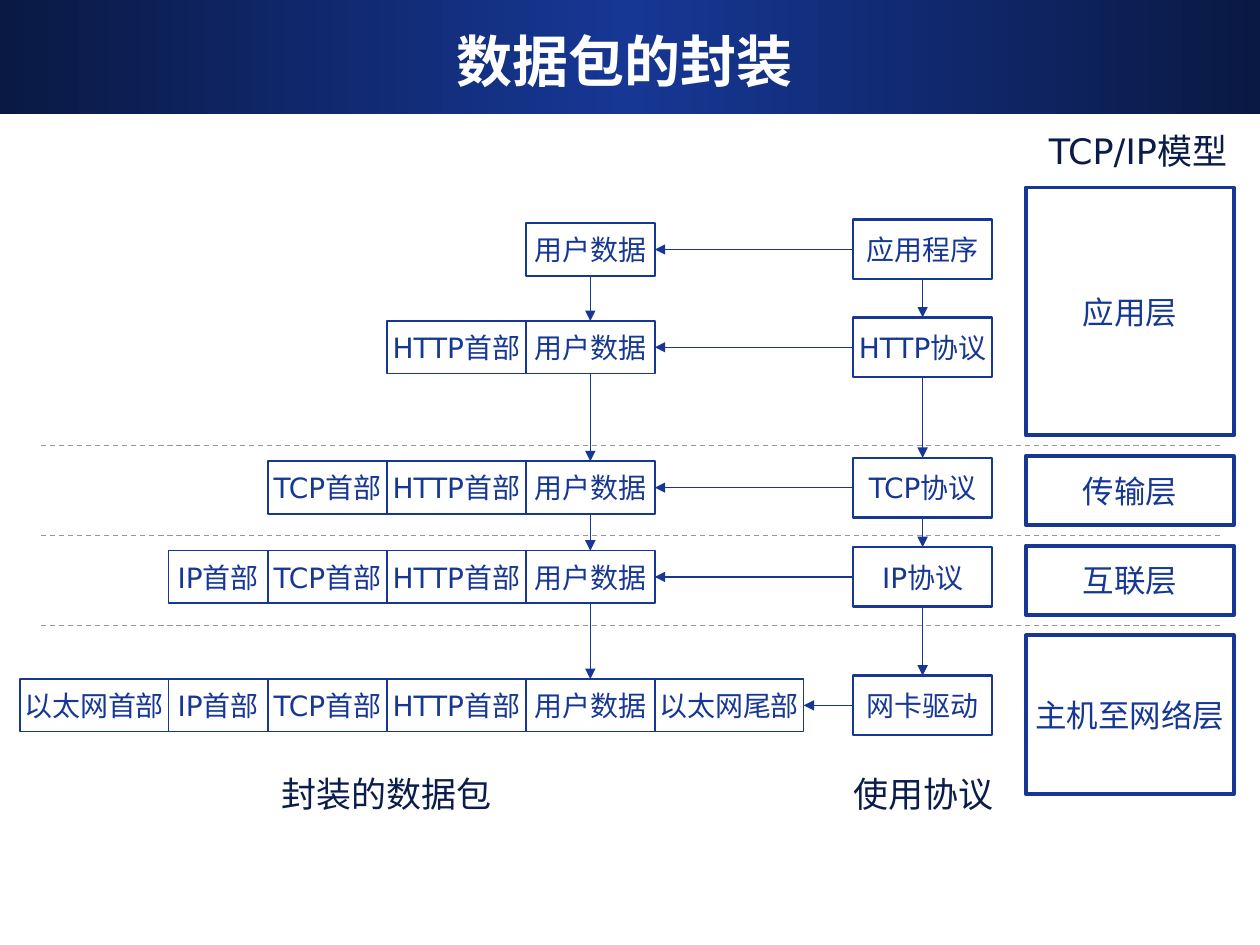
from copy import deepcopy
from itertools import accumulate, pairwise
from typing import NamedTuple

from lxml.etree import SubElement
from pptx import Presentation
from pptx.dml.color import RGBColor as Rgb
from pptx.enum.dml import MSO_LINE_DASH_STYLE as Dash
from pptx.enum.shapes import MSO_CONNECTOR_TYPE as Link
from pptx.enum.shapes import MSO_SHAPE as Kind
from pptx.enum.text import MSO_ANCHOR as Anchor
from pptx.enum.text import MSO_AUTO_SIZE as Fit
from pptx.enum.text import PP_ALIGN as Align
from pptx.oxml.ns import qn
from pptx.util import Cm, Pt

FONT = "DejaVu Sans"
HEX = {"blue": "163794", "navy": "0A1944", "ink": "0B1B4A",
       "grey": "969696", "white": "FFFFFF"}


class Area(NamedTuple):
    """A place on the slide, in centimetres."""
    left: float
    top: float
    width: float
    height: float


class Style(NamedTuple):
    size: int
    line: float


class Layer(NamedTuple):
    text: str
    height: float


class Step(NamedTuple):
    """One protocol, its middle height and the span of packet fields."""
    text: str
    mid: float
    first: int
    last: int


class Field(NamedTuple):
    text: str
    width: float


class Label(NamedTuple):
    text: str
    area: Area
    align: Align
    wrap: bool


LAYER = Style(18, 2.25)
PROTO = Style(16, 1.5)
PART = Style(16, 1)

LAYERS = [Layer("应用层", 5), Layer("传输层", 1.4),
          Layer("互联层", 1.4), Layer("主机至网络层", 3.2)]
LAYER_X, LAYER_Y, LAYER_W, GAP = 20.68, 3.78, 4.19, 0.41

STEPS = [Step("应用程序", 5.03, 4, 5), Step("HTTP协议", 7, 3, 5),
         Step("TCP协议", 9.83, 2, 5), Step("IP协议", 11.63, 1, 5),
         Step("网卡驱动", 14.22, 0, 6)]
PROTO_X, PROTO_W, PROTO_H = 17.2, 2.8, 1.2

FIELDS = [Field("以太网首部", 3), Field("IP首部", 2), Field("TCP首部", 2.4),
          Field("HTTP首部", 2.8), Field("用户数据", 2.6), Field("以太网尾部", 3)]
EDGES = list(accumulate((f.width for f in FIELDS), initial=0.4))
PART_H = 1.06
DATA_X = (EDGES[4] + EDGES[5]) / 2

LABELS = [
    Label("TCP/IP模型", Area(20.7, 2.49, 4.29, 1.12), Align.RIGHT, False),
    Label("使用协议", Area(16.79, 15.44, 3.5, 1.12), Align.RIGHT, True),
    Label("封装的数据包", Area(5.4, 15.44, 4.8, 1.12), Align.CENTER, True),
]


def tint(name: str) -> Rgb:
    return Rgb.from_string(HEX[name])


def write(frame, text: str, size: int, color: str, align: Align) -> None:
    para = frame.paragraphs[0]
    para.text = text
    para.alignment = align
    font = para.font
    font.name, font.size = FONT, Pt(size)
    font.color.rgb = tint(color)


def add_box(slide, text: str, area: Area, style: Style) -> None:
    box = slide.shapes.add_shape(Kind.RECTANGLE, *map(Cm, area))
    box.shadow.inherit = False
    box.fill.solid()
    box.fill.fore_color.rgb = tint("white")
    box.line.color.rgb = tint("blue")
    box.line.width = Pt(style.line)
    frame = box.text_frame
    frame.word_wrap = False
    frame.vertical_anchor = Anchor.MIDDLE
    frame.margin_left = frame.margin_right = 0
    frame.margin_top = frame.margin_bottom = Cm(0.03)
    write(frame, text, style.size, "blue", Align.CENTER)


def add_line(slide, x1: float, y1: float, x2: float, y2: float, color: str):
    line = slide.shapes.add_connector(Link.STRAIGHT, *map(Cm, (x1, y1, x2, y2)))
    line.line.color.rgb = tint(color)
    line.line.width = Pt(0.75)
    SubElement(line._element.spPr, qn("a:effectLst"))
    return line


def add_arrow(slide, x1: float, y1: float, x2: float, y2: float) -> None:
    arrow = add_line(slide, x1, y1, x2, y2, "blue")
    SubElement(arrow.line._get_or_add_ln(), qn("a:tailEnd"), type="triangle")


def add_head(slide) -> None:
    """Draw the title over a band that is lightest in the middle."""
    band = slide.shapes.add_shape(Kind.RECTANGLE, *map(Cm, (0, 0, 25.4, 2.31)))
    band.shadow.inherit = False
    band.line.fill.background()
    band.fill.gradient()
    band.fill.gradient_angle = 0
    stops = band._element.spPr.find(".//" + qn("a:gsLst"))
    stops.insert(1, deepcopy(stops[0]))
    for stop, place, name in zip(band.fill.gradient_stops, (0, 0.5, 1),
                                 ("navy", "blue", "navy")):
        stop.position = place
        stop.color.rgb = tint(name)
    frame = slide.shapes.add_textbox(*map(Cm, (0.84, 0.43, 23.5, 1.57))).text_frame
    frame.word_wrap = True
    frame.vertical_anchor = Anchor.MIDDLE
    write(frame, "数据包的封装", 32, "white", Align.CENTER)
    frame.paragraphs[0].font.bold = True


def add_layers(slide) -> None:
    top = LAYER_Y
    for layer in LAYERS:
        if top > LAYER_Y:
            rule = add_line(slide, 24.59, top - GAP / 2, 0.79, top - GAP / 2, "grey")
            rule.line.dash_style = Dash.DASH
        area = Area(LAYER_X, top, LAYER_W, layer.height)
        add_box(slide, layer.text, area, LAYER)
        top += layer.height + GAP


def add_step(slide, step: Step) -> None:
    area = Area(PROTO_X, step.mid - PROTO_H / 2, PROTO_W, PROTO_H)
    add_box(slide, step.text, area, PROTO)
    for i in range(step.first, step.last):
        area = Area(EDGES[i], step.mid - PART_H / 2, FIELDS[i].width, PART_H)
        add_box(slide, FIELDS[i].text, area, PART)
    add_arrow(slide, PROTO_X, step.mid, EDGES[step.last], step.mid)


def add_label(slide, label: Label) -> None:
    frame = slide.shapes.add_textbox(*map(Cm, label.area)).text_frame
    frame.word_wrap = label.wrap
    frame.auto_size = Fit.SHAPE_TO_FIT_TEXT
    write(frame, label.text, 20, "ink", label.align)


def main() -> None:
    deck = Presentation()
    deck.slide_width, deck.slide_height = Cm(25.4), Cm(19.05)
    slide = deck.slides.add_slide(deck.slide_layouts[6])
    add_head(slide)
    add_layers(slide)
    for step in STEPS:
        add_step(slide, step)
    for x, height in (DATA_X, PART_H), (PROTO_X + PROTO_W / 2, PROTO_H):
        for prev, step in pairwise(STEPS):
            add_arrow(slide, x, prev.mid + height / 2, x, step.mid - height / 2)
    for label in LABELS:
        add_label(slide, label)
    deck.save("out.pptx")


if __name__ == "__main__":
    main()
